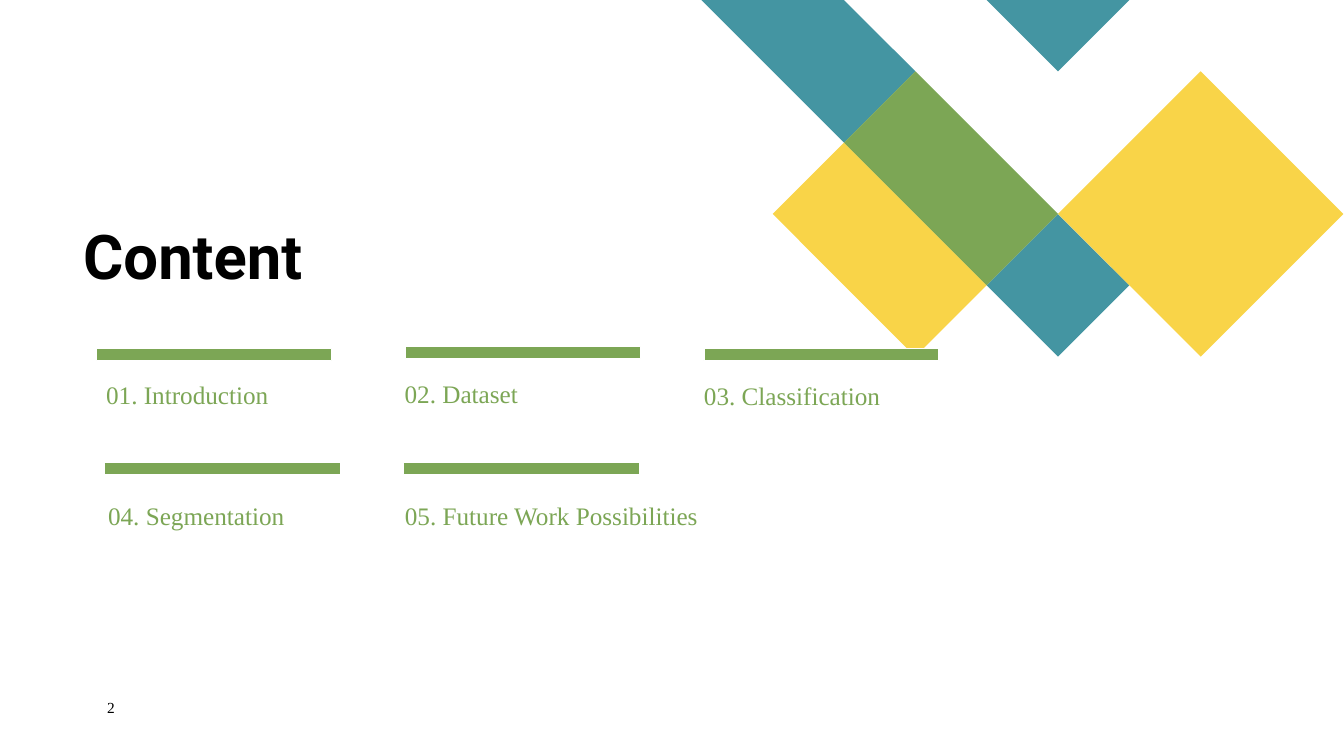
import pptx
import pptx.dml.color
import pptx.enum.shapes
import pptx.enum.text
import pptx.oxml.ns
import pptx.util
from lxml import etree

Pt = pptx.util.Pt
RGBColor = pptx.dml.color.RGBColor
ANCHOR = pptx.enum.text.MSO_ANCHOR

TEAL = RGBColor(0x44, 0x95, 0xA2)
YELLOW = RGBColor(0xF9, 0xD4, 0x48)
GREEN = RGBColor(0x7C, 0xA6, 0x55)
WHITE = RGBColor(0xFF, 0xFF, 0xFF)
BLACK = RGBColor(0, 0, 0)

# The diamonds sit on a square grid; each shape has one or more contours
GRID_LEFT, GRID_STEP = 501, 50.95
DIAMONDS = [
    (TEAL, [[(0, 0), (2, 0), (3, 1), (2, 2)], [(5, 3), (6, 4), (5, 5), (4, 4)]]),
    (YELLOW, [[(2, 2), (1, 3), (3, 5), (4, 4)]]),
    (TEAL, [[(4, 0), (6, 0), (5, 1)]]),
    (GREEN, [[(3, 1), (2, 2), (4, 4), (5, 3)]]),
    (YELLOW, [[(9, 3), (7, 1), (5, 3), (7, 5)]]),
]

BAR_WIDTH = 168
# Text, text left and top, bar left and top
TOP_TOPICS = [
    ("01. Introduction", 75.8, 270.9, 69, 249),
    ("02. Dataset", 289, 270, 289.5, 247.4),
    ("03. Classification", 502.8, 271.5, 502.8, 249),
]
# Text, text left, line left
LOWER_TOPICS = [
    ("04. Segmentation", 77.2, 75),
    ("05. Future Work Possibilities", 289.2, 288.5),
]


def place(s, left, top, width, height):
    s.left, s.top, s.width, s.height = Pt(left), Pt(top), Pt(width), Pt(height)


def write(s, text, size=18, font="Times New Roman", color=GREEN, bold=False,
          anchor=ANCHOR.TOP, spacing=1.0):
    tf = s.text_frame
    tf.word_wrap = True
    tf.auto_size = pptx.enum.text.MSO_AUTO_SIZE.NONE
    tf.vertical_anchor = anchor
    tf.margin_left = tf.margin_right = tf.margin_top = tf.margin_bottom = 0
    p = tf.paragraphs[0]
    p.alignment = pptx.enum.text.PP_ALIGN.LEFT
    p.line_spacing = spacing
    p.space_before = Pt(0)
    r = p.add_run()
    r.text = text
    r.font.size, r.font.name, r.font.bold = Pt(size), font, bold
    r.font.color.rgb = color
    return p


def remove_bullet(p):
    props = p._p.get_or_add_pPr()
    props.set("marL", "0")
    props.set("indent", "0")
    etree.SubElement(props, pptx.oxml.ns.qn("a:buNone"))


def add_text(slide, text, left, top, width, height, **style):
    s = slide.shapes.add_textbox(Pt(left), Pt(top), Pt(width), Pt(height))
    write(s, text, **style)


def add_diamonds(slide, color, contours):
    builder = slide.shapes.build_freeform(*contours[0][0], scale=Pt(GRID_STEP))
    for i, points in enumerate(contours):
        if i:
            builder.move_to(*points[0])
        builder.add_line_segments(points[1:], close=True)
    s = builder.convert_to_shape(Pt(GRID_LEFT), 0)
    s.shadow.inherit = False
    s.fill.solid()
    s.fill.fore_color.rgb = color
    s.line.fill.background()


def add_bar(slide, left, top):
    s = slide.shapes.add_shape(pptx.enum.shapes.MSO_SHAPE.RECTANGLE,
                               Pt(left), Pt(top), Pt(BAR_WIDTH), Pt(8.6))
    s.shadow.inherit = False
    s.fill.solid()
    s.fill.fore_color.rgb = GREEN
    s.line.color.rgb = WHITE
    s.line.width = Pt(1)


def add_rule(slide, left, top):
    s = slide.shapes.add_connector(pptx.enum.shapes.MSO_CONNECTOR.STRAIGHT,
                                   Pt(left), Pt(top), Pt(left + BAR_WIDTH), Pt(top))
    s.line.color.rgb = GREEN
    s.line.width = Pt(8)
    etree.SubElement(s._element.spPr, pptx.oxml.ns.qn("a:effectLst"))


def main():
    prs = pptx.Presentation()
    prs.slide_width, prs.slide_height = Pt(960), Pt(540)
    slide = prs.slides.add_slide(prs.slide_layouts.get_by_name("Two Content"))

    # Corner decoration
    for color, contours in DIAMONDS:
        add_diamonds(slide, color, contours)

    # Title
    title = slide.shapes.title
    place(title, 59.4, 161.2, 389, 48)
    write(title, "Content", size=44, font="Roboto", color=BLACK, bold=True,
          anchor=ANCHOR.BOTTOM, spacing=0.9)

    # Upper row of topics
    for text, left, top, bar_left, bar_top in TOP_TOPICS:
        add_text(slide, text, left, top, 220, 24)
        add_bar(slide, bar_left, bar_top)

    # Lower row of topics
    bodies = list(slide.placeholders)[1:]
    for body, (text, left, rule_left) in zip(bodies, LOWER_TOPICS):
        place(body, left, 357.4, 228, 24)
        remove_bullet(write(body, text))
        add_rule(slide, rule_left, 334.8)

    # Slide number
    add_text(slide, "2", 76.5, 498.4, 41, 19, size=11, color=BLACK)

    prs.save("out.pptx")


if __name__ == "__main__":
    main()
